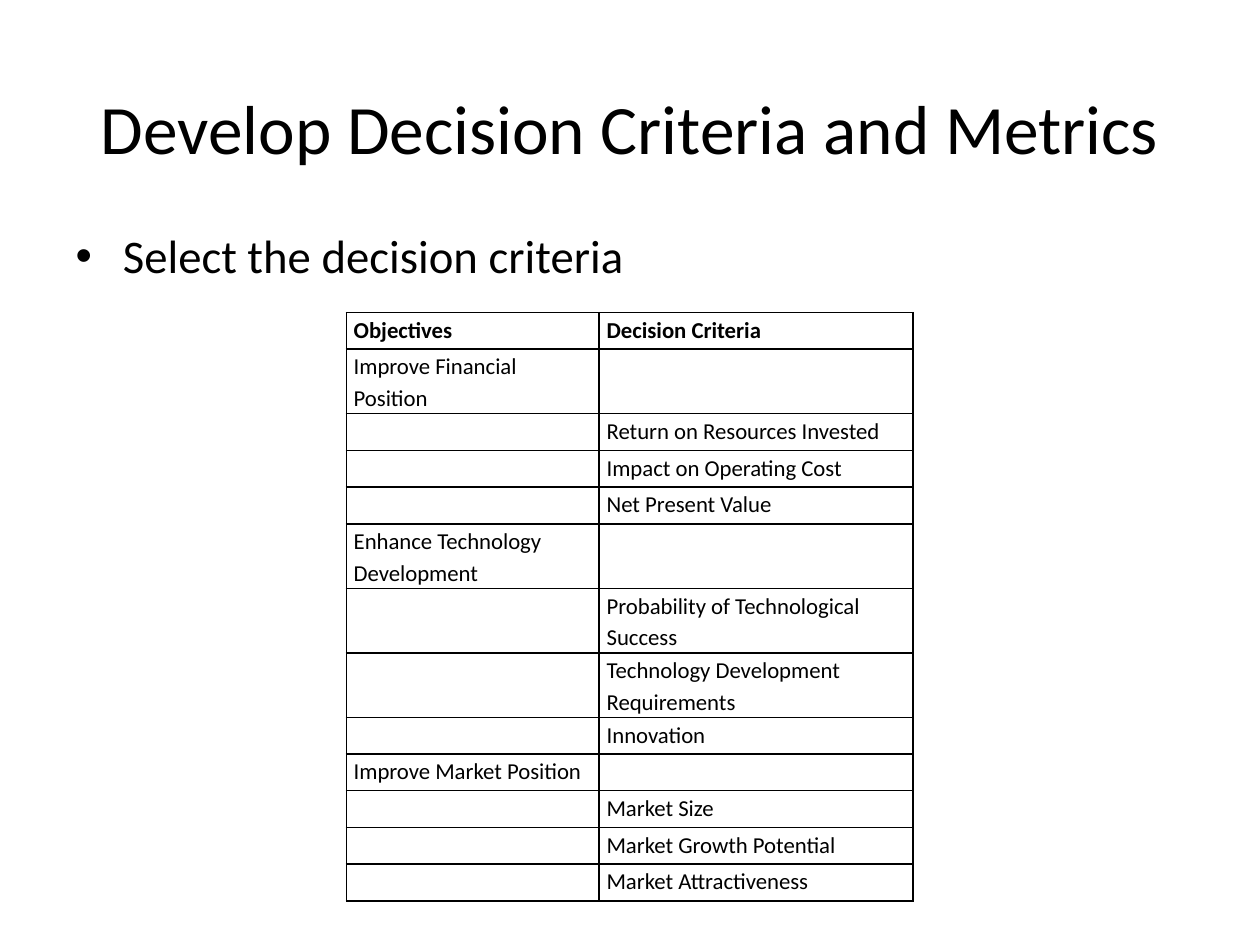
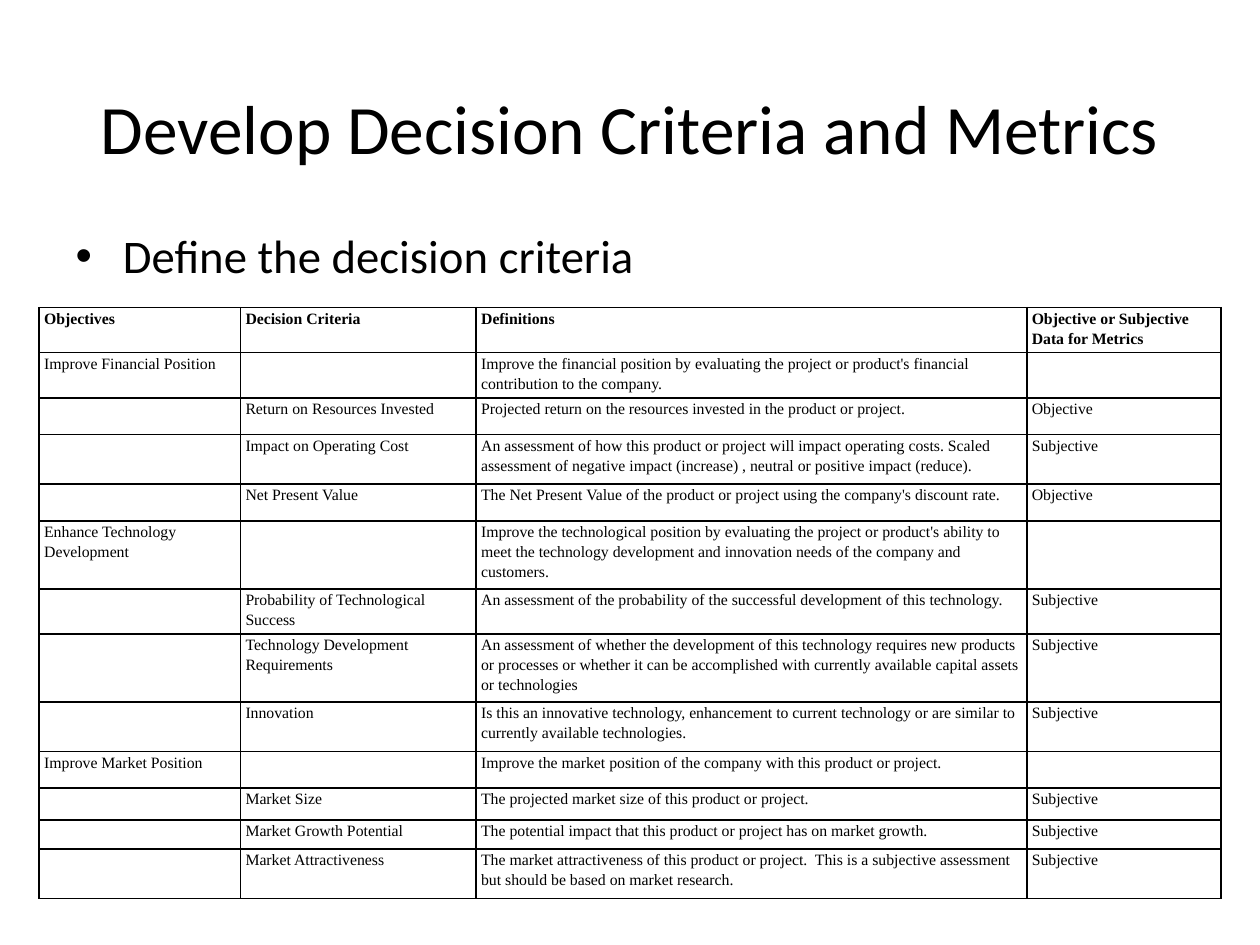
from dataclasses import dataclass

from lxml import etree
from pptx import Presentation
from pptx import util as u
from pptx.dml.color import RGBColor
from pptx.enum import text
from pptx.oxml import ns


@dataclass(frozen=True)
class Theme:
    ink: str = "000000"
    paper: str = "FFFFFF"
    heading_font: str = "Calibri"
    detail_font: str = "Times New Roman"
    title_size: float = 39.6
    bullet_size: float = 26.7
    summary_size: float = 13
    detail_size: float = 9
    border_width: float = 1
    line_spacing: float = 1.15
    space_after: float = 3


# Content: objective, criterion, definition, kind of data
HEADER = ("Objectives", "Decision Criteria", "Definitions",
          "Objective or Subjective Data for Metrics")
CRITERIA = [
    ("Improve Financial Position", "",
     "Improve the financial position by evaluating the project or product's "
     "financial contribution to the company.", ""),
    ("", "Return on Resources Invested",
     "Projected return on the resources invested in the product or project.",
     "Objective"),
    ("", "Impact on Operating Cost",
     "An assessment of how this product or project will impact operating costs. "
     "Scaled assessment of negative impact (increase) , neutral or positive "
     "impact (reduce).", "Subjective"),
    ("", "Net Present Value",
     "The Net Present Value of the product or project using the company's "
     "discount rate.", "Objective"),
    ("Enhance Technology Development", "",
     "Improve the technological position by evaluating the project or product's "
     "ability to meet the technology development and innovation needs of the "
     "company and customers.", ""),
    ("", "Probability of Technological Success",
     "An assessment of the probability of the successful development of this "
     "technology.", "Subjective"),
    ("", "Technology Development Requirements",
     "An assessment of whether the development of this technology requires new "
     "products or processes or whether it can be accomplished with currently "
     "available capital assets or technologies", "Subjective"),
    ("", "Innovation",
     "Is this an innovative technology, enhancement to current technology or are "
     "similar to currently available technologies.", "Subjective"),
    ("Improve Market Position", "",
     "Improve the market position of the company with this product or project.", ""),
    ("", "Market Size",
     "The projected market size of this product or project.", "Subjective"),
    ("", "Market Growth Potential",
     "The potential impact that this product or project has on market growth.",
     "Subjective"),
    ("", "Market Attractiveness",
     "The market attractiveness of this product or project.  This is a subjective "
     "assessment but should be based on market research.", "Subjective"),
]


def put_text(frame, words, *, font, size, color, bold=None, align=None,
             spacing=None, after=None):
    """Write one formatted paragraph; an empty one still keeps its type size."""
    paragraph = frame.paragraphs[0]
    if align is not None:
        paragraph.alignment = align
    if spacing is not None:
        paragraph.line_spacing = spacing
    if after is not None:
        paragraph.space_after = u.Pt(after)
    if not words:
        etree.SubElement(paragraph._p, ns.qn("a:endParaRPr"), sz=str(int(size * 100)))
        return
    run = paragraph.add_run()
    run.text = words
    run.font.name = font
    run.font.size = u.Pt(size)
    run.font.bold = bold
    run.font.color.rgb = RGBColor.from_string(color)


class Deck:
    def __init__(self, theme):
        self.theme = theme
        self.file = Presentation()
        self.file.slide_width, self.file.slide_height = u.Cm(25.4), u.Cm(19.05)
        self.slide = None

    def new_slide(self):
        layout = self.file.slide_layouts.get_by_name("Title and Content")
        self.slide = self.file.slides.add_slide(layout)
        background = self.slide.background.fill
        background.solid()
        background.fore_color.rgb = RGBColor.from_string(self.theme.paper)

    def placeholder(self, holder, words, box, size, **style):
        holder.left, holder.top, holder.width, holder.height = map(u.Cm, box)
        holder.text_frame.auto_size = text.MSO_AUTO_SIZE.NONE
        put_text(holder.text_frame, words, font=self.theme.heading_font,
                 size=size, color=self.theme.ink, **style)

    def title(self, words):
        self.placeholder(self.slide.shapes.title, words, (1.27, 0.96, 22.86, 3.18),
                         self.theme.title_size, align=text.PP_ALIGN.CENTER)

    def bullet(self, words, width):
        self.placeholder(self.slide.placeholders[1], words, (1.27, 4.45, width, 12.57),
                         self.theme.bullet_size)

    def border(self, cell):
        properties = cell._tc.get_or_add_tcPr()
        for side in ("lnL", "lnR", "lnT", "lnB"):
            line = etree.SubElement(properties, ns.qn(f"a:{side}"),
                                    w=str(u.Pt(self.theme.border_width)))
            fill = etree.SubElement(line, ns.qn("a:solidFill"))
            etree.SubElement(fill, ns.qn("a:srgbClr"), val=self.theme.ink)

    def table(self, rows, left, top, widths, heights, font, size, inset):
        grid = self.slide.shapes.add_table(
            len(rows), len(widths), u.Cm(left), u.Cm(top),
            u.Cm(sum(widths)), u.Cm(sum(heights))).table
        grid.first_row = grid.horz_banding = False
        for column, width in zip(grid.columns, widths):
            column.width = u.Cm(width)
        for index, (row, height) in enumerate(zip(grid.rows, heights)):
            row.height = u.Cm(height)
            for cell, words in zip(row.cells, rows[index]):
                cell.margin_left = cell.margin_right = u.Cm(inset)
                cell.margin_top = cell.margin_bottom = 0
                self.border(cell)
                cell.fill.solid()
                cell.fill.fore_color.rgb = RGBColor.from_string(self.theme.paper)
                put_text(cell.text_frame, words, font=font, size=size,
                         color=self.theme.ink, bold=index == 0,
                         spacing=self.theme.line_spacing,
                         after=self.theme.space_after)


def main():
    theme = Theme()
    deck = Deck(theme)
    heading = "Develop Decision Criteria and Metrics"
    rows = [HEADER, *CRITERIA]

    # Criteria grouped by objective; long names wrap to a second line
    deck.new_slide()
    deck.title(heading)
    deck.bullet("Select the decision criteria", 15.27)
    summary = [row[:2] for row in rows]
    heights = [1.3 if len("".join(row)) > 28 or row[0] == CRITERIA[0][0] else 0.74
               for row in summary[1:]]
    deck.table(summary, 6.98, 6.3, (5.1, 6.33), [0.74, *heights],
               theme.heading_font, theme.summary_size, 0.15)

    # Criteria with definitions and kind of data
    deck.new_slide()
    deck.title(heading)
    deck.bullet("Define the decision criteria", 23.83)
    deck.table(rows, 0.79, 6.2, (4.06, 4.75, 11.1, 3.91),
               (0.91, 0.91, 0.74, 1, 0.74, 1.37, 0.91, 1.37, 1, 0.74, 0.64, 0.58, 1),
               theme.detail_font, theme.detail_size, 0.1)

    deck.file.save("out.pptx")


if __name__ == "__main__":
    main()
